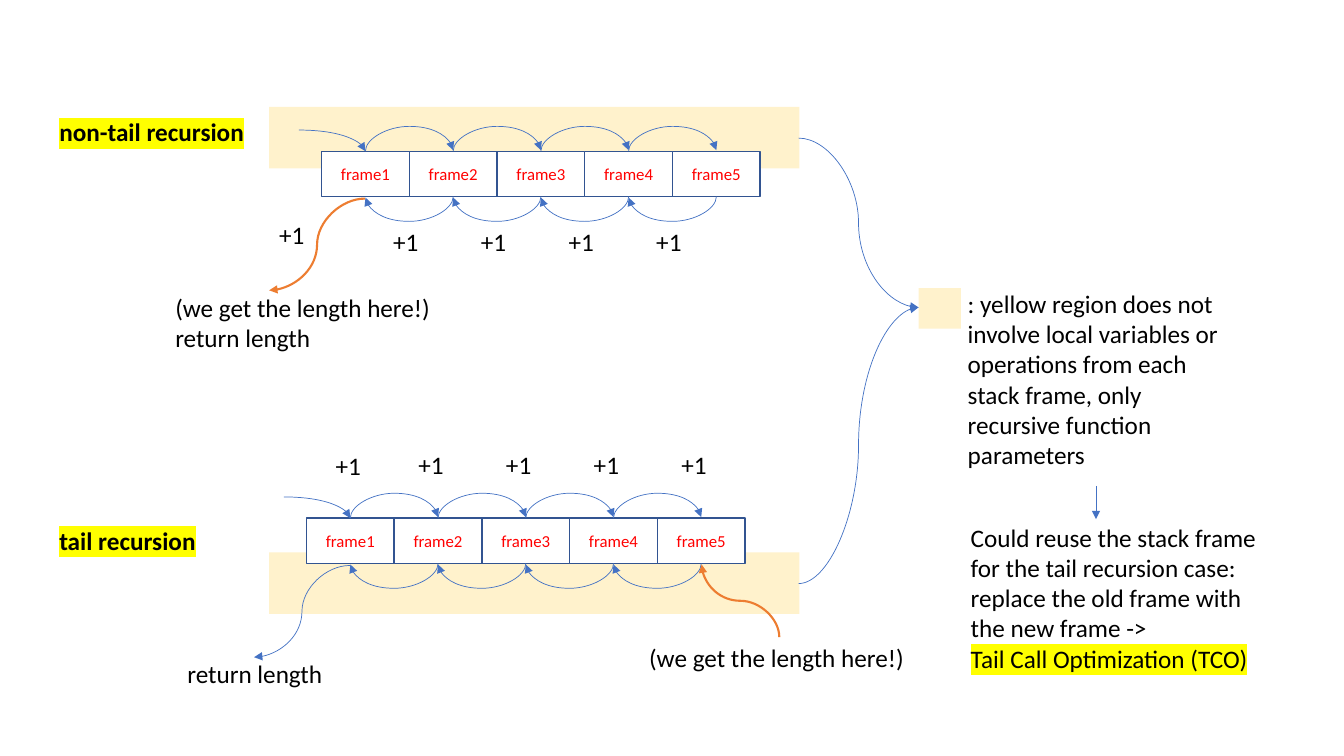
"""Slide comparing stack frames in non-tail and tail recursion."""
from lxml import etree
from pptx import Presentation
from pptx import util as u
from pptx.dml.color import RGBColor
from pptx.enum import shapes, text
from pptx.oxml import ns

CREAM = RGBColor(0xFF, 0xF2, 0xCC)
WHITE = RGBColor(0xFF, 0xFF, 0xFF)
BLACK = RGBColor(0x00, 0x00, 0x00)
RED = RGBColor(0xFF, 0x00, 0x00)
NAVY = RGBColor(0x32, 0x54, 0x91)
BLUE = RGBColor(0x44, 0x72, 0xC4)
ORANGE = RGBColor(0xED, 0x7D, 0x31)
YELLOW = RGBColor(0xFF, 0xFF, 0x00)

FONT = "Calibri"
FRAME_COUNT = 5
FRAME_WIDTH, FRAME_HEIGHT = 0.87, 0.45
ARC_DEPTH, ARC_SHIFT = 0.25, 0.01


def style_paragraph(para, size, color, bold=False):
    """Set the font of a whole paragraph."""
    para.font.name = FONT
    para.font.size = u.Pt(size)
    para.font.bold = bold
    para.font.color.rgb = color


def add_rect(page, left, top, width, height, fill):
    """Add a plain rectangle without outline or shadow."""
    rect = page.shapes.add_shape(
        shapes.MSO_SHAPE.RECTANGLE, *map(u.Inches, (left, top, width, height)))
    rect.shadow.inherit = False
    rect.fill.solid()
    rect.fill.fore_color.rgb = fill
    rect.line.fill.background()
    return rect


def add_frame(page, left, top, label):
    """Add one labelled stack frame."""
    frame = add_rect(page, left, top, FRAME_WIDTH, FRAME_HEIGHT, WHITE)
    frame.line.color.rgb = NAVY
    frame.line.width = u.Pt(1)
    frame.text_frame.vertical_anchor = text.MSO_ANCHOR.MIDDLE
    para = frame.text_frame.paragraphs[0]
    para.text = label
    para.alignment = text.PP_ALIGN.CENTER
    style_paragraph(para, 12, RED)


def add_text(page, left, top, width, height, lines, wrap=True, bold=False, marked=()):
    """Add a text box; the lines in marked get a yellow highlight."""
    box = page.shapes.add_textbox(*map(u.Inches, (left, top, width, height)))
    body = box.text_frame
    body.word_wrap = wrap
    body.auto_size = text.MSO_AUTO_SIZE.SHAPE_TO_FIT_TEXT
    for index, line in enumerate(lines):
        para = body.paragraphs[0] if index == 0 else body.add_paragraph()
        span = para.add_run()
        span.text = line
        style_paragraph(para, 18, BLACK, bold)
        if line in marked:
            mark = etree.SubElement(span.font._element, ns.qn("a:highlight"))
            etree.SubElement(mark, ns.qn("a:srgbClr"), val=str(YELLOW))


def add_arrow(page, start, end, kind="curvedConnector3", upright=False,
              bend=None, color=BLUE, weight=0.5):
    """Add an arrow; upright ones leave vertically and turn after bend inches."""
    (x1, y1), (x2, y2) = start, end
    along, across = (y2 - y1, x1 - x2) if upright else (x2 - x1, y2 - y1)
    width, height = abs(along), abs(across)
    left, top = (x1 + x2 - width) / 2, (y1 + y2 - height) / 2
    arrow = page.shapes.add_connector(
        shapes.MSO_CONNECTOR.CURVE,
        *map(u.Inches, (left, top, left + width, top + height)))
    arrow.line.color.rgb = color
    arrow.line.width = u.Pt(weight)

    props = arrow.element.spPr
    frame = props.find(ns.qn("a:xfrm"))
    if upright:
        frame.set("rot", str(90 * 60000))
    if along < 0:
        frame.set("flipH", "1")
    if across < 0:
        frame.set("flipV", "1")
    shape = props.find(ns.qn("a:prstGeom"))
    shape.set("prst", kind)
    if bend is not None:
        guides = shape.find(ns.qn("a:avLst"))
        etree.SubElement(guides, ns.qn("a:gd"), name="adj1",
                         fmla=f"val {round(bend / width * 100000)}")
    etree.SubElement(props.find(ns.qn("a:ln")), ns.qn("a:tailEnd"), type="triangle")
    etree.SubElement(props, ns.qn("a:effectLst"))


def add_stack(page, left, top):
    """Add a row of frames with call arcs above and return arcs below."""
    for index in reversed(range(FRAME_COUNT)):
        add_frame(page, left + index * FRAME_WIDTH, top, f"frame{index + 1}")
    bottom = top + FRAME_HEIGHT
    centers = [left + (index + 0.5) * FRAME_WIDTH for index in range(FRAME_COUNT)]
    for here, after in zip(centers, centers[1:]):
        add_arrow(page, (here, top), (after, top - ARC_SHIFT),
                  upright=True, bend=ARC_DEPTH)
        add_arrow(page, (after, bottom), (here, bottom + ARC_SHIFT),
                  upright=True, bend=ARC_DEPTH)
    add_arrow(page, (centers[0] - 0.66, top - 0.21), (centers[0], top),
              kind="curvedConnector2")


def add_increments(page, first, left, top):
    """Add the separate first +1, then an evenly spaced row of four."""
    spots = [first] + [(left + i * FRAME_WIDTH, top) for i in range(FRAME_COUNT - 1)]
    for x, y in spots:
        add_text(page, x, y, 0.51, 0.4, ["+1"])


def main():
    """Build and save the slide."""
    deck = Presentation()
    deck.slide_width, deck.slide_height = u.Inches(13.33), u.Inches(7.5)
    page = deck.slides.add_slide(deck.slide_layouts[6])

    for top in (5.48, 1.06):
        add_rect(page, 2.67, top, 5.26, 0.61, CREAM)

    length_here = "(we get the length here!)"
    add_stack(page, 3.19, 1.5)
    add_increments(page, (2.67, 2.13), 3.8, 2.2)
    add_arrow(page, (3.62, 1.97), (2.67, 2.88), color=ORANGE, weight=1.5)
    add_text(page, 1.64, 2.85, 2.76, 0.71, [length_here, "return length"], wrap=False)

    add_stack(page, 3.04, 5.14)
    add_increments(page, (3.23, 4.42), 4.05, 4.41)
    add_arrow(page, (3.47, 5.61), (2.52, 6.52))
    add_text(page, 1.76, 6.48, 1.56, 0.4, ["return length"], wrap=False)
    add_text(page, 6.34, 6.32, 2.76, 0.4, [length_here], wrap=False)
    add_arrow(page, (7.73, 6.32), (6.96, 5.6), upright=True, color=ORANGE, weight=1.5)

    add_rect(page, 9.11, 2.86, 0.42, 0.4, CREAM)
    add_text(page, 9.5, 2.81, 2.76, 1.92, [
        ": yellow region does not involve local variables or operations from "
        "each stack frame, only recursive function parameters"])
    for y in (1.37, 5.79):
        add_arrow(page, (7.92, y), (9.11, 3.05))
    add_arrow(page, (10.87, 4.82), (10.87, 5.15), kind="line")
    optimization = "Tail Call Optimization (TCO)"
    add_text(page, 9.53, 5.13, 3.07, 1.62, [
        "Could reuse the stack frame for the tail recursion case: "
        "replace the old frame with the new frame -> ", optimization],
        marked=[optimization])

    for title, top, width in (("non-tail recursion", 1.11, 2.04),
                              ("tail recursion", 5.16, 1.56)):
        add_text(page, 0.49, top, width, 0.4, [title], wrap=False, bold=True,
                 marked=[title])

    deck.save("out.pptx")


if __name__ == "__main__":
    main()
